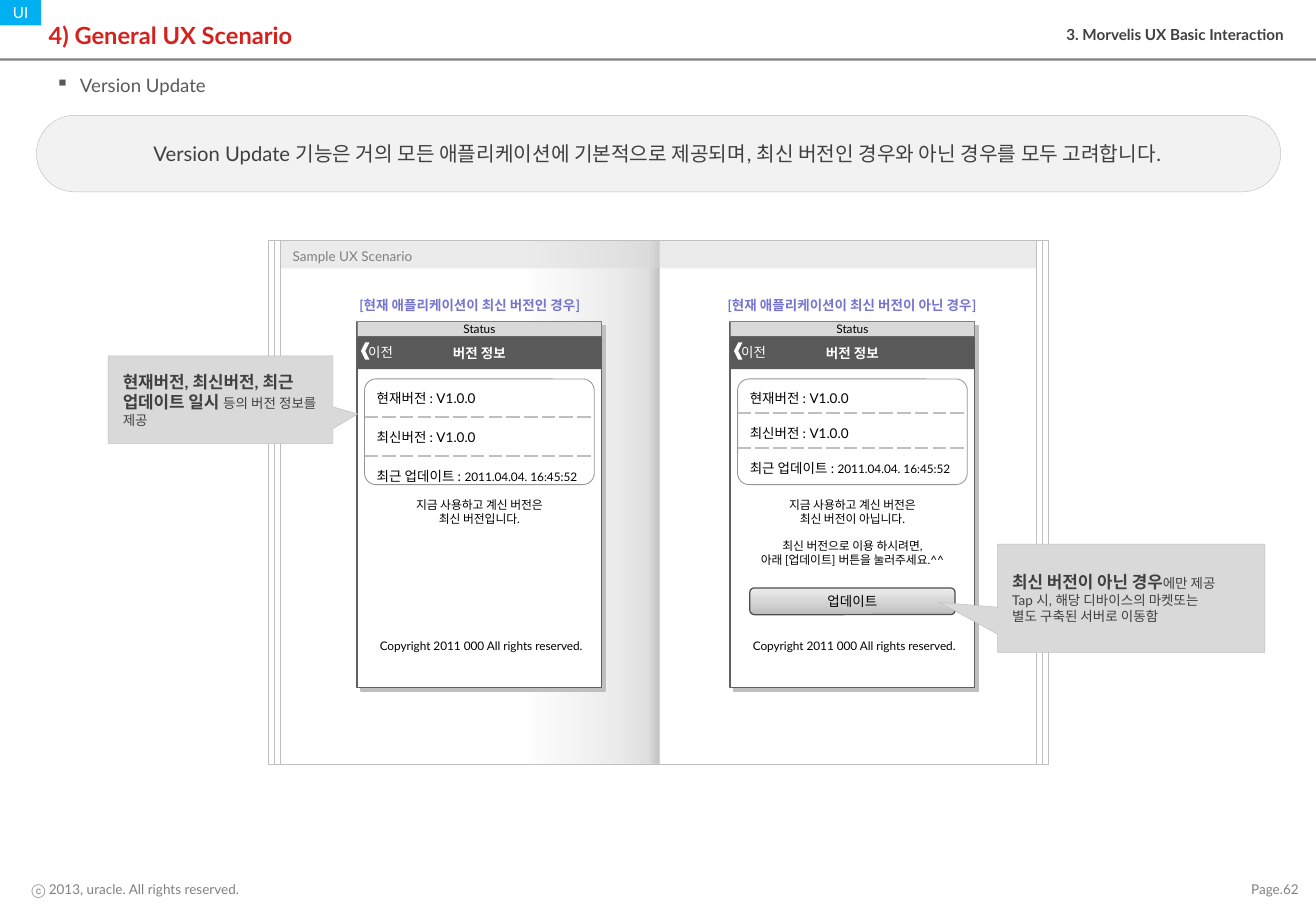
from dataclasses import dataclass
from typing import NamedTuple, Optional

from lxml.etree import SubElement
from pptx import Presentation
from pptx.dml.color import RGBColor
from pptx.enum.shapes import MSO_SHAPE
from pptx.enum.text import MSO_ANCHOR, MSO_AUTO_SIZE, PP_ALIGN
from pptx.oxml.ns import qn
from pptx.util import Inches, Pt

GRID = Inches(0.1)
COLUMNS, ROWS = 108.3, 75


@dataclass(frozen=True)
class Theme:
    font: str = "Lato"
    back_font: str = "Arial"
    white: str = "FFFFFF"
    black: str = "000000"
    heading: str = "D5211D"
    caption: str = "7575D1"
    tag: str = "00B0F0"
    ink: str = "404040"
    dark: str = "595959"
    frame: str = "606060"
    gray: str = "808080"
    panel: str = "969696"
    edge: str = "BFBFBF"
    light: str = "D9D9D9"
    pale: str = "F2F2F2"
    button_edge: str = "4D4D4D"
    button_ramp: tuple = ((0, "BCBCBC", 100), (35, "D0D0D0", 100), (100, "EDEDED", 100))
    fold_ramp: tuple = ((0, "808080", 50), (3, "BFBFBF", 50), (11, "D9D9D9", 50), (35, "FFFFFF", 50))
    title: int = 14
    lead: int = 12
    topic: int = 11
    strong: int = 10
    label: int = 9
    body: int = 8
    small: int = 7


THEME = Theme()


class Area(NamedTuple):
    left: float
    top: float
    width: float
    height: float

    def emu(self) -> list:
        return [round(cells * GRID) for cells in self]


class Run(NamedTuple):
    text: str
    size: int = THEME.body
    color: str = THEME.black
    bold: bool = False
    font: str = THEME.font
    new_line: bool = False


class Line(NamedTuple):
    runs: list
    align: PP_ALIGN = PP_ALIGN.LEFT
    before: float = 0
    spacing: Optional[float] = None
    bullet: str = ""


class Phone(NamedTuple):
    left: float
    caption: str
    caption_area: Area
    messages: list
    row_bottom: float
    has_update: bool


class Callout(NamedTuple):
    area: Area
    tip: tuple
    lines: list


def write(frame, lines: list, anchor=MSO_ANCHOR.MIDDLE, insets: tuple = (1, 0.5)) -> None:
    frame.word_wrap = True
    frame.auto_size = MSO_AUTO_SIZE.NONE
    frame.vertical_anchor = anchor
    frame.margin_left = frame.margin_right = round(insets[0] * GRID)
    frame.margin_top = frame.margin_bottom = round(insets[1] * GRID)
    for index, line in enumerate(lines):
        paragraph = frame.add_paragraph() if index else frame.paragraphs[0]
        write_line(paragraph, line)


def write_line(paragraph, line: Line) -> None:
    if line.bullet:
        properties = paragraph._p.get_or_add_pPr()
        properties.set("marL", str(2 * GRID))
        properties.set("indent", str(-2 * GRID))
        SubElement(properties, qn("a:buChar"), char=line.bullet)
    paragraph.alignment = line.align
    if line.before:
        paragraph.space_before = Pt(line.before)
    if line.spacing:
        paragraph.line_spacing = line.spacing
    for part in line.runs:
        if part.new_line:
            paragraph.add_line_break()
        run = paragraph.add_run()
        run.text = part.text
        run.font.name, run.font.size, run.font.bold = part.font, Pt(part.size), part.bold
        run.font.color.rgb = RGBColor.from_string(part.color)


def add_text(slide, area: Area, lines: list, **layout) -> None:
    write(slide.shapes.add_textbox(*area.emu()).text_frame, lines, **layout)


def add_box(slide, area: Area, fill: str = "", edge: str = "", weight: float = 0.25,
            kind=MSO_SHAPE.RECTANGLE, adjust: tuple = ()):
    box = slide.shapes.add_shape(kind, *area.emu())
    box.shadow.inherit = False
    for index, value in enumerate(adjust):
        box.adjustments[index] = value
    if fill:
        box.fill.solid()
        box.fill.fore_color.rgb = RGBColor.from_string(fill)
    else:
        box.fill.background()
    if edge:
        box.line.color.rgb = RGBColor.from_string(edge)
        box.line.width = Pt(weight)
    else:
        box.line.fill.background()
    return box


def shade(box, ramp: tuple, angle: int) -> None:
    properties = box._element.spPr
    properties.remove(properties.find(qn("a:noFill")))
    gradient = SubElement(properties, qn("a:gradFill"), rotWithShape="1")
    stops = SubElement(gradient, qn("a:gsLst"))
    for position, color, opacity in ramp:
        stop = SubElement(stops, qn("a:gs"), pos=str(position * 1000))
        tint = SubElement(stop, qn("a:srgbClr"), val=color)
        SubElement(tint, qn("a:alpha"), val=str(opacity * 1000))
    SubElement(gradient, qn("a:lin"), ang=str(angle * 60000), scaled="0")
    properties.find(qn("a:prstGeom")).addnext(gradient)


def drop_shadow(box) -> None:
    effects = box._element.spPr.find(qn("a:effectLst"))
    shadow = SubElement(effects, qn("a:outerShdw"), dist=str(Pt(3)), dir="2700000", algn="tl", rotWithShape="0")
    SubElement(shadow, qn("a:srgbClr"), val=THEME.edge)


def set_border(cell, position: int, side: str, dashed: bool) -> None:
    properties = cell._tc.get_or_add_tcPr()
    border = SubElement(properties, qn(f"a:ln{side}"), w=str(Pt(1)))
    if dashed:
        SubElement(SubElement(border, qn("a:solidFill")), qn("a:srgbClr"), val=THEME.edge)
        SubElement(border, qn("a:prstDash"), val="sysDash")
    else:
        SubElement(border, qn("a:noFill"))
    properties.insert(position, border)


def add_versions(slide, area: Area, row_bottom: float) -> None:
    entries = [[Run("현재버전 : V1.0.0")], [Run("최신버전 : V1.0.0")],
               [Run("최근 업데이트 : "), Run("2011.04.04. 16:45:52", THEME.small)]]
    versions = slide.shapes.add_table(len(entries), 1, *area.emu()).table
    versions.first_row = versions.horz_banding = False
    last = len(entries) - 1
    for index, runs in enumerate(entries):
        cell = versions.cell(index, 0)
        cell.fill.background()
        cell.margin_left, cell.margin_right = GRID, 0 if index == last else GRID
        cell.margin_top, cell.margin_bottom = round(0.8 * GRID), round(row_bottom * GRID)
        write_line(cell.text_frame.paragraphs[0], Line(runs))
        dashes = {"L": False, "R": False, "T": index > 0, "B": index < last}
        for position, (side, dashed) in enumerate(dashes.items()):
            set_border(cell, position, side, dashed)


def add_phone(slide, phone: Phone) -> None:
    x, center = phone.left, PP_ALIGN.CENTER
    drop_shadow(add_box(slide, Area(x, 26.5, 20.1, 30.1), THEME.white, THEME.frame, 1))
    status = add_box(slide, Area(x, 26.5, 20.1, 1.2), THEME.light, THEME.gray, 0.5)
    write(status.text_frame, [Line([Run("Status", THEME.small)], center)], insets=(1, 0))
    header = add_box(slide, Area(x, 27.7, 20.1, 2.7), THEME.dark)
    write(header.text_frame, [Line([Run("버전 정보", color=THEME.white, bold=True)], center)])
    add_box(slide, Area(x + 0.6, 31.2, 18.9, 8.7), THEME.white, THEME.panel, 0.5,
            MSO_SHAPE.ROUNDED_RECTANGLE, (0.108,))
    add_versions(slide, Area(x + 0.6, 31.1, 18.9, 8.7), phone.row_bottom)
    if phone.has_update:
        update = add_box(slide, Area(x + 1.6, 48.4, 16.9, 2.2), "", THEME.button_edge, 0.75,
                         MSO_SHAPE.ROUNDED_RECTANGLE, (0.167,))
        shade(update, THEME.button_ramp, 270)
        write(update.text_frame, [Line([Run("업데이트")], center)], insets=(1, 0.2))
    add_text(slide, Area(x, 40.5, 20.1, 6.9 if phone.has_update else 3.4), phone.messages, anchor=MSO_ANCHOR.TOP)
    add_text(slide, Area(x + 0.2, 52.1, 20, 2.2),
             [Line([Run("Copyright 2011 000 All rights reserved.", THEME.small)], center)], anchor=MSO_ANCHOR.TOP)
    add_text(slide, phone.caption_area, [Line([Run(phone.caption, color=THEME.caption, bold=True)], spacing=1.2)],
             anchor=MSO_ANCHOR.TOP)
    add_text(slide, Area(x + 0.5, 27.9, 4, 2.1), [Line([Run("이전", color=THEME.white, font=THEME.back_font)])],
             anchor=MSO_ANCHOR.TOP, insets=(0.4, 0.4))
    add_box(slide, Area(x + 0.3, 28.2, 0.7, 1.4), THEME.white, kind=MSO_SHAPE.CHEVRON).rotation = 180


def add_book(slide) -> None:
    shade(add_box(slide, Area(23.1, 19.8, 31.2, 43.1)), THEME.fold_ramp, 180)
    strip = add_box(slide, Area(23.1, 19.8, 62.2, 2.3), THEME.light)
    tint = strip._element.spPr.find(qn("a:solidFill")).find(qn("a:srgbClr"))
    SubElement(tint, qn("a:alpha"), val="50000")
    write(strip.text_frame, [Line([Run("Sample UX Scenario", color=THEME.gray)], spacing=1.2)])
    for page in range(3):
        add_box(slide, Area(23.1 - page / 2, 19.8, 62.2 + page, 43.1), edge=THEME.edge)


def add_header(slide) -> None:
    add_box(slide, Area(0, 4.8, COLUMNS, 0.2), THEME.gray)
    add_box(slide, Area(3, 9.5, 102.4, 6.3), THEME.pale, THEME.edge, 0.25, MSO_SHAPE.ROUNDED_RECTANGLE, (0.5,))
    tag = add_box(slide, Area(0, 0, 3.4, 2.1), THEME.tag)
    write(tag.text_frame, [Line([Run("UI", THEME.label, THEME.white)], PP_ALIGN.CENTER)], insets=(0, 0))
    title = slide.shapes.title
    title.left, title.top, title.width, title.height = Area(3, 0.8, 103.3, 4.1).emu()
    write(title.text_frame, [Line([Run("4) General UX Scenario", THEME.title, THEME.heading, True)])])
    add_text(slide, Area(68.8, 1.6, 37.8, 2.8), [Line([Run(
        "3. Morvelis UX Basic Interaction", THEME.label, THEME.ink, True)], PP_ALIGN.RIGHT)], anchor=MSO_ANCHOR.TOP)
    add_text(slide, Area(3.6, 5.6, 93.9, 2.8), [Line([Run("Version Update", THEME.topic, THEME.dark)], bullet="▪")])
    add_text(slide, Area(5.1, 10.3, 98, 4.7), [Line([Run(
        "Version Update 기능은 거의 모든 애플리케이션에 기본적으로 제공되며, 최신 버전인 경우와 아닌 경우를 모두 고려합니다.",
        THEME.lead, THEME.ink)], PP_ALIGN.CENTER)])


def message(*texts: str, before: float = 0) -> Line:
    return Line([Run(text, THEME.small, new_line=index > 0) for index, text in enumerate(texts)],
                PP_ALIGN.CENTER, before)


PHONES = [
    Phone(29.4, "[현재 애플리케이션이 최신 버전인 경우]", Area(28.6, 23.7, 22.2, 2.5),
          [message("지금 사용하고 계신 버전은"), message("최신 버전입니다.")], 0.8, False),
    Phone(60.1, "[현재 애플리케이션이 최신 버전이 아닌 경우]", Area(58.9, 23.7, 24.8, 2.5),
          [message("지금 사용하고 계신 버전은"), message("최신 버전이 아닙니다."),
           message("최신 버전으로 이용 하시려면,", "아래 [업데이트] 버튼을 눌러주세요.^^", before=7.5)], 0.4, True),
]
CALLOUTS = [
    Callout(Area(82.1, 44.8, 22, 8.9), (-0.718, 0.038), [
        Line([Run("최신 버전이 아닌 경우", THEME.strong, THEME.ink, True), Run("에만 제공", color=THEME.ink)]),
        Line([Run("Tap 시, 해당 디바이스의 마켓또는", color=THEME.ink),
              Run("별도 구축된 서버로 이동함", color=THEME.ink, new_line=True)])]),
    Callout(Area(8.9, 29.3, 18.5, 7.2), (0.61, 0.164), [
        Line([Run("현재버전, 최신버전, 최근 업데이트 일시 ", THEME.strong, THEME.ink, True),
              Run("등의 버전 정보를 제공", color=THEME.ink)])]),
]


def main() -> None:
    deck = Presentation()
    deck.slide_width, deck.slide_height = round(COLUMNS * GRID), ROWS * GRID
    slide = deck.slides.add_slide(deck.slide_layouts[5])
    add_book(slide)
    add_header(slide)
    for phone in PHONES:
        add_phone(slide, phone)
    for callout in CALLOUTS:
        note = add_box(slide, callout.area, THEME.light, THEME.edge, 0.25,
                       MSO_SHAPE.RECTANGULAR_CALLOUT, callout.tip)
        write(note.text_frame, callout.lines, insets=(1.2, 0.5))
    footers = [(Area(1.7, 72.1, 22, 2.2), "ⓒ 2013, uracle. All rights reserved.", PP_ALIGN.LEFT),
               (Area(97.8, 72.1, 10, 2.2), "Page.62", PP_ALIGN.RIGHT)]
    for area, text, align in footers:
        add_text(slide, area, [Line([Run(text, color=THEME.gray)], align)], insets=(0.9, 0.4))
    deck.save("out.pptx")


if __name__ == "__main__":
    main()
